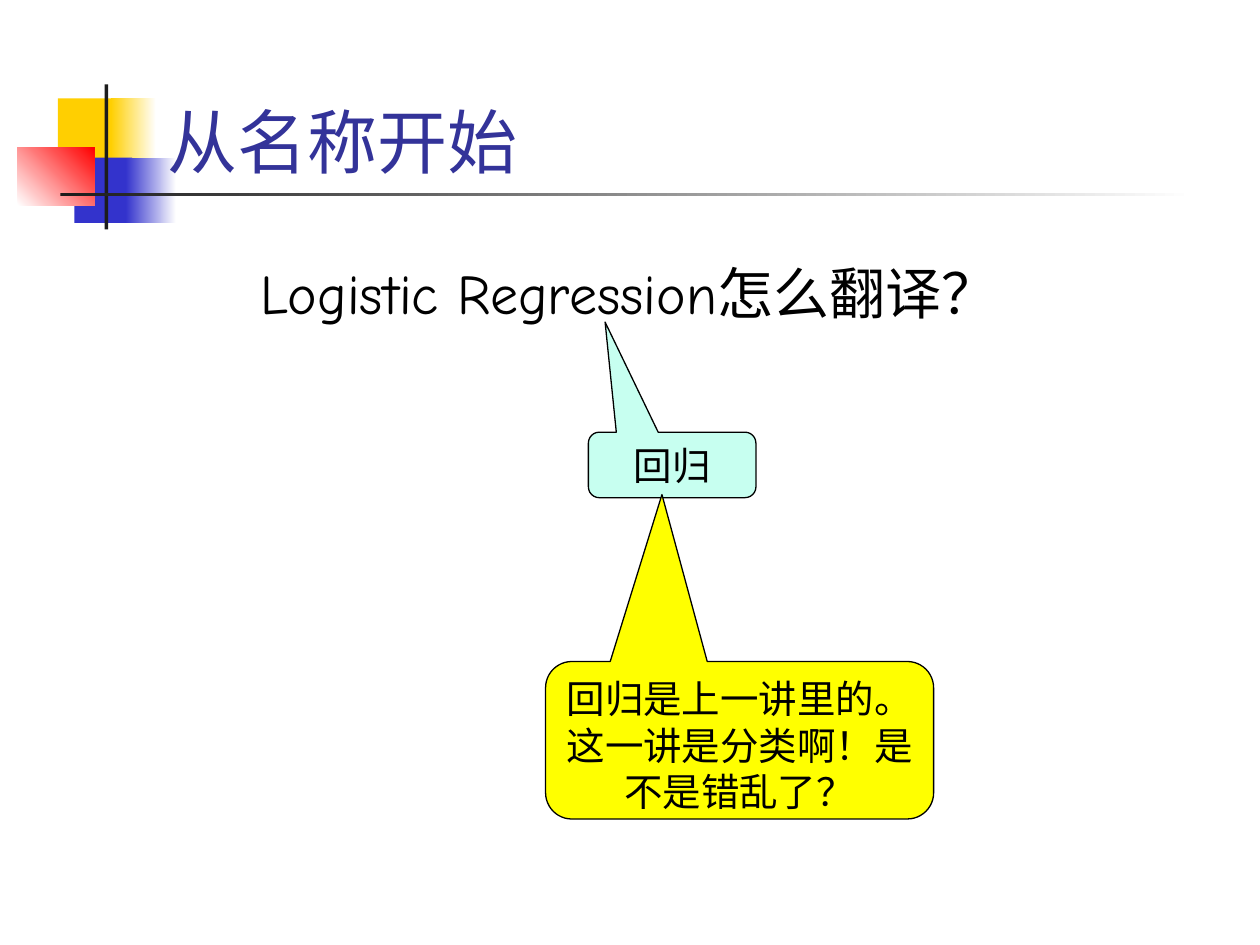
import pptx
import pptx.dml.color
import pptx.enum.shapes
import pptx.enum.text
import pptx.util
from lxml import etree
from pptx.util import Inches

SHAPE = pptx.enum.shapes.MSO_SHAPE
ALIGN = pptx.enum.text.PP_ALIGN
ANCHOR = pptx.enum.text.MSO_ANCHOR
AUTO = pptx.enum.text.MSO_AUTO_SIZE
A = "{http://schemas.openxmlformats.org/drawingml/2006/main}"
LATIN, CJK = "Comic Neue", "Noto Sans CJK JP"


def color(hex_code):
    return pptx.dml.color.RGBColor.from_string(hex_code)


def write(tf, text, size, hex_code, align, font=LATIN):
    """Fill a text frame with one formatted paragraph."""
    tf.word_wrap = True
    p = tf.paragraphs[0]
    p.text = text
    p.alignment = align
    p.font.size = pptx.util.Pt(size)
    p.font.color.rgb = color(hex_code)
    p.font.name = font
    latin = next(p._p.iter(A + "latin"))
    ea = etree.Element(A + "ea", typeface=CJK)
    latin.addnext(ea)


def add_block(slide, box, start, end=None, angle=0):
    """Add a borderless rectangle, solid or fading from start to end."""
    s = slide.shapes.add_shape(SHAPE.RECTANGLE, *map(Inches, box))
    s.shadow.inherit = False
    s.line.fill.background()
    if end is None:
        s.fill.solid()
        s.fill.fore_color.rgb = color(start)
        return
    s.fill.gradient()
    s.fill.gradient_angle = angle
    for stop, position, shade in zip(s.fill.gradient_stops, (0, 1), (start, end)):
        stop.position = position
        stop.color.rgb = color(shade)


def add_ornament(slide, left, top):
    """Coloured squares crossed by a vertical and a horizontal bar."""
    parts = [
        ((0.32, 0.11, 0.48, 0.52), "FFCF01"),
        ((0.74, 0.11, 0.36, 0.52), "FFCF01", "FFFFFF"),
        ((0.45, 0.58, 0.46, 0.52), "3333CC"),
        ((0.86, 0.58, 0.4, 0.52), "3333CC", "FFFFFF"),
        ((0, 0.5, 0.61, 0.46), "FFFFFF", "FF0000", 45),
        ((0.69, 0, 0.03, 1.15), "1C1C1C"),
        ((0.34, 0.86, 9, 0.03), "1C1C1C", "FFFFFF"),
    ]
    for (x, y, w, h), *fill in parts:
        add_block(slide, (left + x, top + y, w, h), *fill)


def add_title(slide, left, top, width, height, text):
    title = slide.shapes.title
    title.left, title.top = Inches(left), Inches(top)
    title.width, title.height = Inches(width), Inches(height)
    tf = title.text_frame
    tf.auto_size = AUTO.NONE
    tf.vertical_anchor = ANCHOR.BOTTOM
    write(tf, text, 40, "333399", ALIGN.LEFT, CJK)
    # Bring the title in front of the ornament
    slide.shapes._spTree.append(title._element)


def add_question(slide, left, top, width, height, text):
    box = slide.shapes.add_textbox(*map(Inches, (left, top, width, height)))
    write(box.text_frame, text, 32, "000000", ALIGN.CENTER)
    box.text_frame.auto_size = AUTO.SHAPE_TO_FIT_TEXT


def add_callout(slide, left, top, width, height, text, fill, pointer):
    """Rounded balloon whose tip sits at pointer, relative to its centre."""
    s = slide.shapes.add_shape(SHAPE.ROUNDED_RECTANGULAR_CALLOUT,
                               *map(Inches, (left, top, width, height)))
    s.shadow.inherit = False
    s.adjustments[0], s.adjustments[1] = pointer
    s.fill.solid()
    s.fill.fore_color.rgb = color(fill)
    s.line.color.rgb = color("000000")
    s.line.width = pptx.util.Pt(0.75)
    s.text_frame.vertical_anchor = ANCHOR.TOP
    write(s.text_frame, text, 22, "000000", ALIGN.CENTER)


def main():
    prs = pptx.Presentation()
    prs.slide_width, prs.slide_height = Inches(10), Inches(7.5)
    slide = prs.slides.add_slide(prs.slide_layouts[5])

    # Heading
    add_ornament(slide, 0.14, 0.67)
    add_title(slide, 1.23, 0.5, 8.52, 1, "从名称开始")

    # Question and the balloons that comment on it
    add_question(slide, 0.58, 2, 8.83, 0.64, "Logistic Regression怎么翻译？")
    add_callout(slide, 4.67, 3.43, 1.33, 0.52, "回归", "C7FFF0", (-0.4, -2.18))
    add_callout(slide, 4.33, 5.25, 3.08, 1.25,
                "回归是上一讲里的。这一讲是分类啊！是不是错乱了？",
                "FFFF00", (-0.2, -1.56))

    prs.save("out.pptx")


if __name__ == "__main__":
    main()
